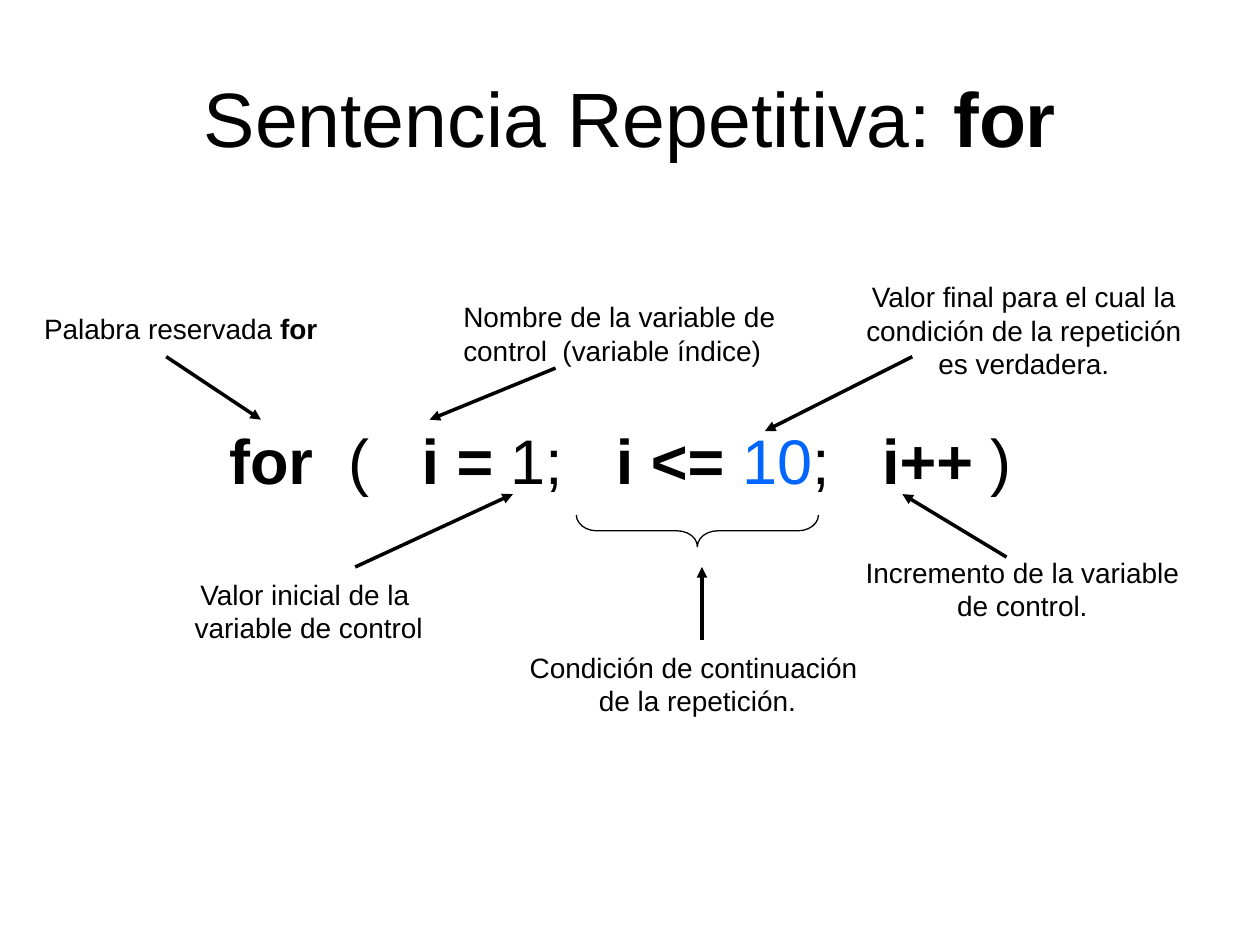
from pptx import Presentation
from pptx.dml.color import RGBColor
from pptx.enum.shapes import MSO_CONNECTOR, MSO_SHAPE
from pptx.enum.text import MSO_ANCHOR, PP_ALIGN
from pptx.oxml.ns import qn
from pptx.util import Cm, Pt
from lxml import etree

STRAIGHT = MSO_CONNECTOR.STRAIGHT
LEFT_BRACE = MSO_SHAPE.LEFT_BRACE
LEFT, CENTER = PP_ALIGN.LEFT, PP_ALIGN.CENTER
TOP, MIDDLE = MSO_ANCHOR.TOP, MSO_ANCHOR.MIDDLE
BLACK = RGBColor(0x00, 0x00, 0x00)
BLUE = RGBColor(0x00, 0x66, 0xFF)
FONT = "Arial"

TITLE = [[("Sentencia Repetitiva:", False), (" for", True)]]
TITLE_AREA = (1.27, 0.76, 22.86, 3.18)

STATEMENT = [[
    ("for", True), ("  (   ", False), ("i =", True), (" 1;   ", False),
    ("i <= ", True), ("10", False, BLUE), (";  ", False), (" i++", True),
    (" )", False),
]]
STATEMENT_AREA = (4.37, 8.38, 16.28, 1.78)

LABELS = [
    ((0.64, 6.15, 6.02, 0.94), LEFT, False,
     [[("Palabra reservada ", False), ("for", True)]]),
    ((9.09, 5.92, 6.96, 1.63), LEFT, False,
     [[("Nombre de la variable de", False)],
      [("control  (variable índice)", False)]]),
    ((16.92, 5.51, 7.44, 2.29), CENTER, True,
     [[("Valor final para el cual la condición de la repetición es verdadera.", False)]]),
    ((3.15, 11.51, 6.15, 1.63), CENTER, True,
     [[("Valor inicial de la ", False)], [("variable de control", False)]]),
    ((10.34, 12.98, 7.44, 1.63), CENTER, True,
     [[("Condición de continuación ", False)], [("de la repetición.", False)]]),
    ((16.89, 11.07, 7.44, 1.63), CENTER, True,
     [[("Incremento de la variable de control.", False)]]),
]

ARROWS = [
    (3.35, 7.19, 5.26, 8.46),
    (11.2, 7.42, 8.66, 8.46),
    (18.39, 7.19, 15.42, 8.69),
    (7.16, 11.43, 10.34, 9.96),
    (14.15, 12.9, 14.15, 11.43),
    (20.29, 11.23, 18.19, 9.96),
]
BRACE_AREA = (13.74, 8.26, 0.64, 4.88)


def lengths(values):
    return [Cm(value) for value in values]


def add_text(page, area, lines, size, align=LEFT, wrap=True, anchor=TOP):
    frame = page.shapes.add_textbox(*lengths(area)).text_frame
    frame.word_wrap = wrap
    frame.vertical_anchor = anchor
    for index, line in enumerate(lines):
        paragraph = frame.paragraphs[0] if index == 0 else frame.add_paragraph()
        paragraph.alignment = align
        for text, bold, *color in line:
            span = paragraph.add_run()
            span.text = text
            span.font.name = FONT
            span.font.size = Pt(size)
            span.font.bold = bold
            span.font.color.rgb = color[0] if color else BLACK


def add_arrow(page, ends):
    arrow = page.shapes.add_connector(STRAIGHT, *lengths(ends))
    arrow.line.color.rgb = BLACK
    arrow.line.width = Pt(2)
    head = etree.SubElement(arrow.line._get_or_add_ln(), qn("a:tailEnd"))
    head.set("type", "triangle")
    etree.SubElement(arrow._element.spPr, qn("a:effectLst"))


def add_brace(page):
    brace = page.shapes.add_shape(LEFT_BRACE, *lengths(BRACE_AREA))
    brace.rotation = 270
    brace.adjustments[0] = 0.64
    brace.shadow.inherit = False
    brace.fill.background()
    brace.line.color.rgb = BLACK
    brace.line.width = Pt(0.75)


def main():
    deck = Presentation()
    deck.slide_width, deck.slide_height = Cm(25.4), Cm(19.05)
    page = deck.slides.add_slide(deck.slide_layouts[6])
    add_text(page, TITLE_AREA, TITLE, 44, CENTER, anchor=MIDDLE)
    add_text(page, STATEMENT_AREA, STATEMENT, 36, wrap=False)
    for area, align, wrap, lines in LABELS:
        add_text(page, area, lines, 16, align, wrap)
    for ends in ARROWS:
        add_arrow(page, ends)
    add_brace(page)
    deck.save("out.pptx")


if __name__ == "__main__":
    main()
